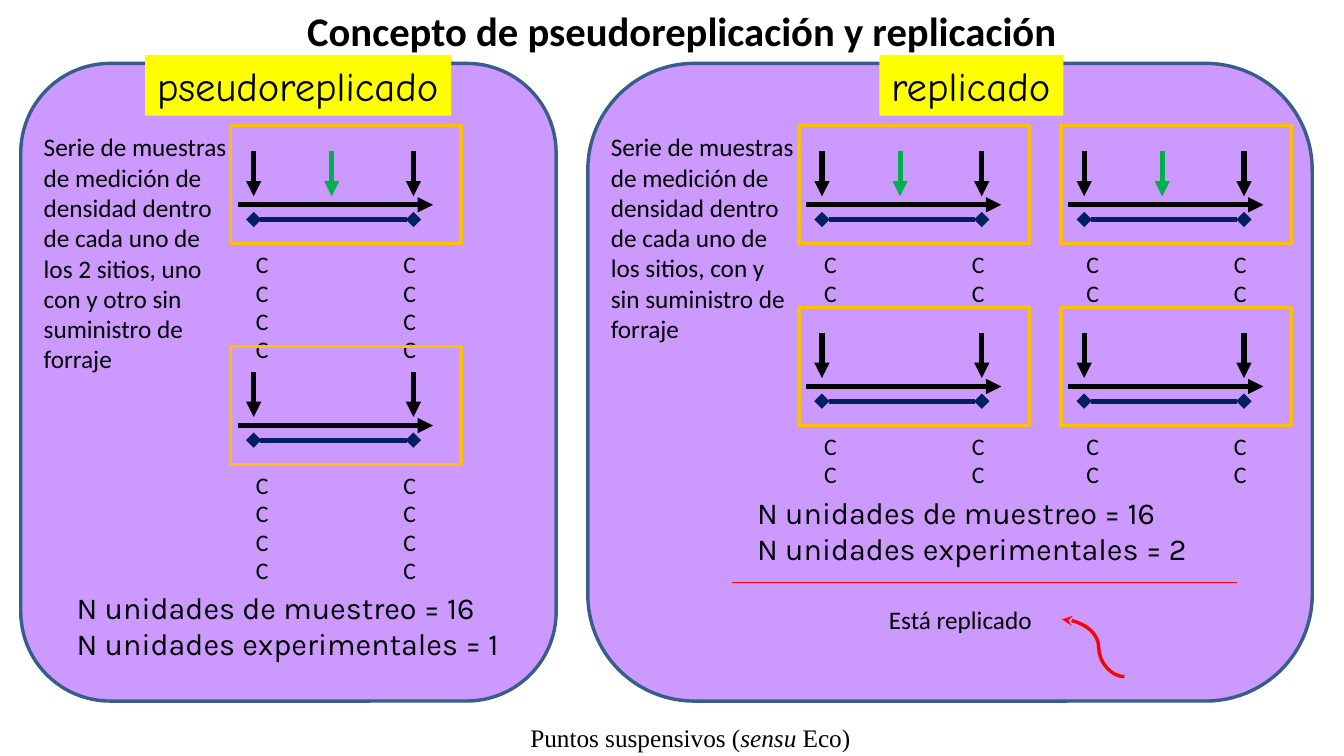
from dataclasses import dataclass

from lxml import etree
from pptx import Presentation
from pptx.dml.color import RGBColor
from pptx.enum.shapes import MSO_CONNECTOR, MSO_SHAPE
from pptx.enum.text import MSO_ANCHOR, MSO_AUTO_SIZE
from pptx.oxml.ns import qn
from pptx.util import Inches, Pt

STRAIGHT = MSO_CONNECTOR.STRAIGHT
CURVE = MSO_CONNECTOR.CURVE
RECT = MSO_SHAPE.RECTANGLE
ROUND = MSO_SHAPE.ROUNDED_RECTANGLE
TOP = MSO_ANCHOR.TOP
FIT = MSO_AUTO_SIZE.SHAPE_TO_FIT_TEXT

BLACK = RGBColor(0x00, 0x00, 0x00)
LILAC = RGBColor(0xCC, 0x99, 0xFF)
STEEL = RGBColor(0x38, 0x5D, 0x8A)
GREEN = RGBColor(0x00, 0xB0, 0x50)
NAVY = RGBColor(0x00, 0x20, 0x60)
AMBER = RGBColor(0xFF, 0xC0, 0x00)
RED = RGBColor(0xFF, 0x00, 0x00)
YELLOW = RGBColor(0xFF, 0xFF, 0x00)

BODY = 14.9
SITE_W, SITE_H = 1.89, 0.97


@dataclass
class Box:
    x: float
    y: float
    w: float
    h: float


@dataclass
class Site:
    x: float
    y: float
    count: int
    fed: bool


@dataclass
class Label:
    box: Box
    text: str
    font: str = "Calibri"
    size: float = BODY
    wrap: bool = True
    bold: bool = False
    fill: RGBColor | None = None


PANELS = [Box(4.82, 0.52, 5.94, 5.23), Box(0.17, 0.52, 4.39, 5.23)]

SITES = [Site(1.89, 1.03, 4, True), Site(1.89, 2.84, 4, False)] + [
    Site(x, y, 2, fed) for x in (6.55, 8.7) for y, fed in ((1.03, True), (2.52, False))
]

LABELS = [
    Label(Box(2.42, 0, 6.36, 0.5), "Concepto de pseudoreplicación y replicación",
          size=24, wrap=False, bold=True),
    Label(Box(0.26, 1.03, 1.72, 2.09),
          "Serie de muestras de medición de densidad dentro de cada uno de "
          "los 2 sitios, uno con y otro sin suministro de forraje"),
    Label(Box(4.91, 1.03, 1.72, 1.84),
          "Serie de muestras de medición de densidad dentro de cada uno de "
          "los sitios, con y sin suministro de forraje"),
    Label(Box(0.53, 4.78, 4.39, 0.7),
          "N unidades de muestreo = 16\nN unidades experimentales = 1", "Karla", 18),
    Label(Box(6.11, 4, 4.48, 0.7),
          "N unidades de muestreo = 16\nN unidades experimentales = 2", "Karla", 18),
    Label(Box(7.19, 4.91, 1.38, 0.35), "Está replicado", wrap=False),
    Label(Box(7.21, 0.45, 1.51, 0.5), "replicado", "Comic Neue", 24, False, fill=YELLOW),
    Label(Box(1.19, 0.45, 2.51, 0.5), "pseudoreplicado", "Comic Neue", 24, False, fill=YELLOW),
    Label(Box(4.25, 5.87, 2.82, 0.35), "Puntos suspensivos (*sensu* Eco)",
          "Times New Roman", wrap=False),
]


def add_text(shapes, box: Box, text: str, *, font: str = "Calibri", size: float = BODY,
             wrap: bool = True, bold: bool = False, fill: RGBColor | None = None) -> None:
    area = shapes.add_textbox(Inches(box.x), Inches(box.y), Inches(box.w), Inches(box.h))
    if fill is not None:
        area.fill.solid()
        area.fill.fore_color.rgb = fill
    frame = area.text_frame
    frame.word_wrap = wrap
    frame.auto_size = FIT
    frame.vertical_anchor = TOP
    for row, line in enumerate(text.split("\n")):
        para = frame.paragraphs[0] if row == 0 else frame.add_paragraph()
        for part, words in enumerate(line.split("*")):
            run = para.add_run()
            run.text = words
            run.font.name = font
            run.font.size = Pt(size)
            run.font.bold = bold
            run.font.italic = part % 2 == 1
            run.font.color.rgb = BLACK


def add_box(shapes, kind: MSO_SHAPE, box: Box, edge: RGBColor, fill: RGBColor | None = None):
    shape = shapes.add_shape(kind, Inches(box.x), Inches(box.y), Inches(box.w), Inches(box.h))
    shape.shadow.inherit = False
    if fill is None:
        shape.fill.background()
    else:
        shape.fill.solid()
        shape.fill.fore_color.rgb = fill
    shape.line.color.rgb = edge
    shape.line.width = Pt(2)
    return shape


def add_line(shapes, x1: float, y1: float, x2: float, y2: float, color: RGBColor,
             width: float = 3, head: str = "", tail: str = "", kind: MSO_CONNECTOR = STRAIGHT):
    line = shapes.add_connector(kind, Inches(x1), Inches(y1), Inches(x2), Inches(y2))
    line.line.color.rgb = color
    line.line.width = Pt(width)
    props = line._element.spPr
    for tag, tip in (("a:headEnd", head), ("a:tailEnd", tail)):
        if tip:
            etree.SubElement(props.find(qn("a:ln")), qn(tag), type=tip)
    etree.SubElement(props, qn("a:effectLst"))
    return line


def add_site(shapes, site: Site) -> None:
    x, y = site.x, site.y
    group = shapes.add_group_shape().shapes
    add_line(group, x + 0.06, y + 0.65, x + 1.66, y + 0.65, BLACK, tail="triangle")
    drops = [(0.19, BLACK), (1.5, BLACK)] + ([(0.83, GREEN)] if site.fed else [])
    for step, color in drops:
        add_line(group, x + step, y + 0.21, x + step, y + 0.58, color, tail="triangle")
    add_line(group, x + 0.19, y + 0.77, x + 1.5, y + 0.77, NAVY, head="diamond", tail="diamond")
    add_box(group, RECT, Box(x, y, SITE_W, SITE_H), AMBER)
    for step in (0.11, 1.32):
        box = Box(x + step, y + SITE_H, 0.3, 0.1 + 0.235 * site.count)
        add_text(shapes, box, "\n".join("C" * site.count), size=14, wrap=False)


def main() -> None:
    deck = Presentation()
    deck.slide_width, deck.slide_height = Inches(11.02), Inches(6.2)
    shapes = deck.slides.add_slide(deck.slide_layouts[6]).shapes
    for panel in PANELS:
        add_box(shapes, ROUND, panel, STEEL, LILAC).adjustments[0] = 0.167
    for site in SITES:
        add_site(shapes, site)
    curve = add_line(shapes, 9.22, 5.55, 8.71, 5.08, RED, 2, tail="stealth", kind=CURVE)
    bends = curve._element.spPr.find(qn("a:prstGeom")).find(qn("a:avLst"))
    etree.SubElement(bends, qn("a:gd"), name="adj1", fmla="val 41300")
    add_line(shapes, 6, 4.78, 10.14, 4.78, RED, 0.75)
    for label in LABELS:
        add_text(shapes, label.box, label.text, font=label.font, size=label.size,
                 wrap=label.wrap, bold=label.bold, fill=label.fill)
    deck.save("out.pptx")


if __name__ == "__main__":
    main()
